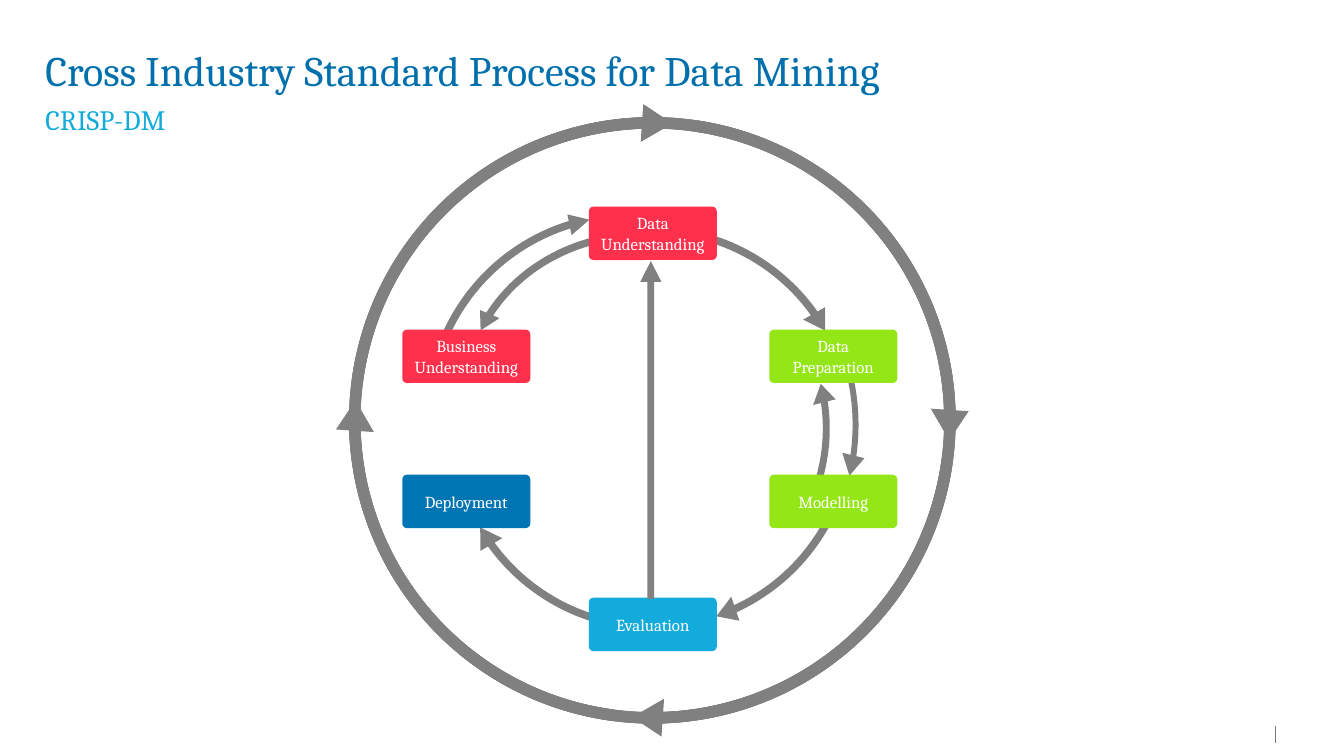
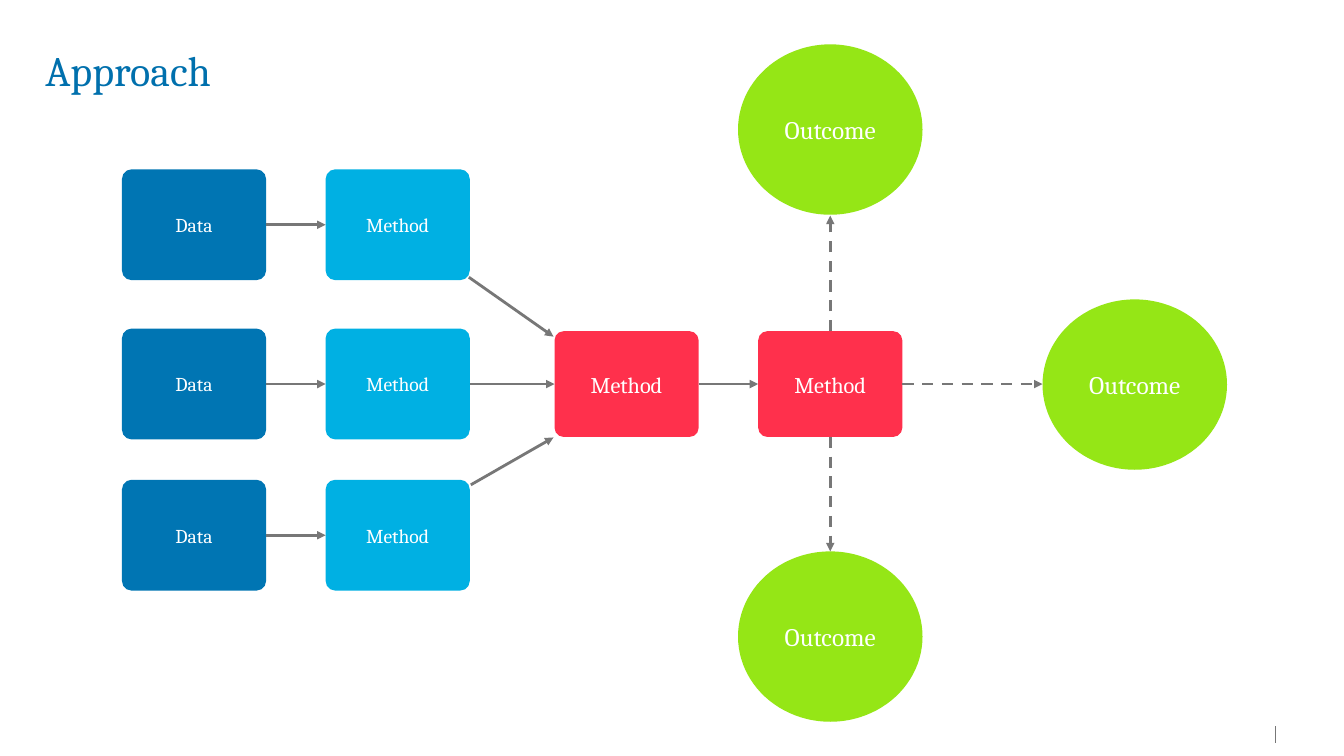
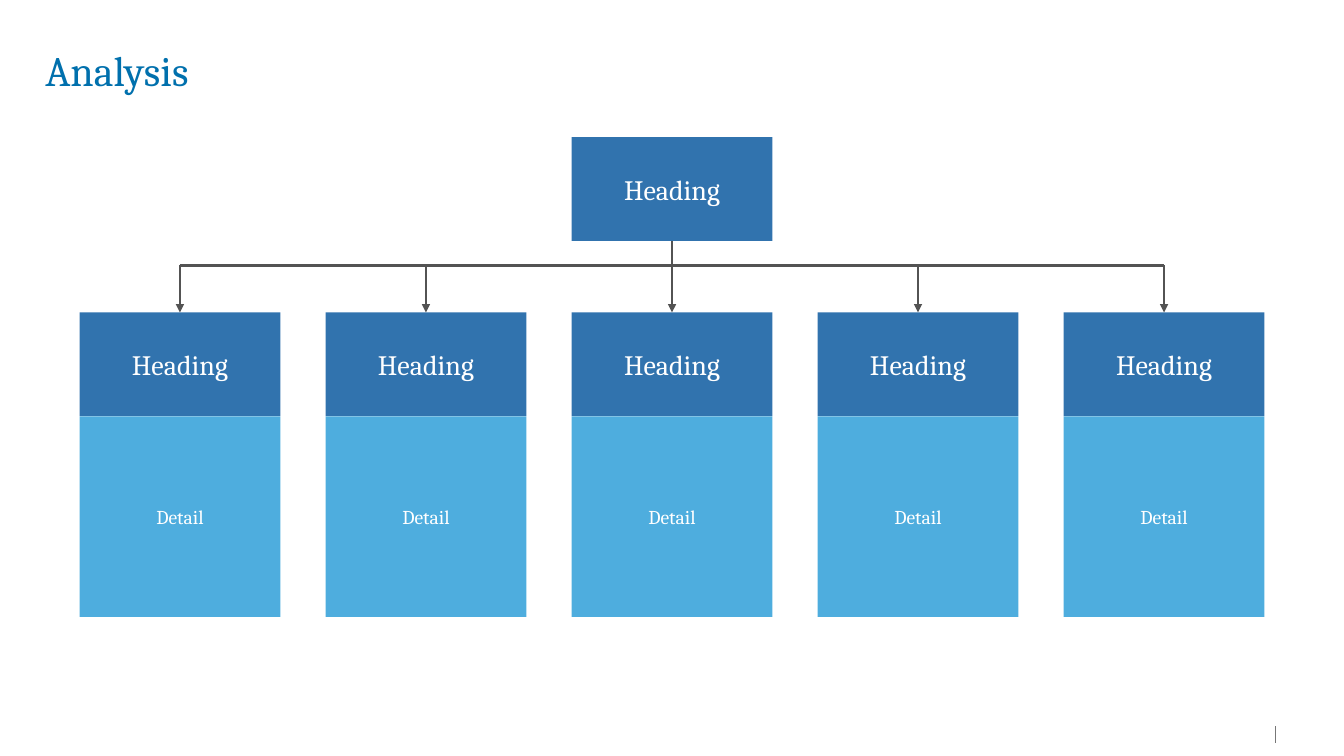
import pptx
import pptx.util
import pptx.dml.color
import pptx.enum.dml
import pptx.enum.shapes
import pptx.enum.text
import pptx.oxml.ns
import lxml.etree

Inches, Pt = pptx.util.Inches, pptx.util.Pt
RGBColor = pptx.dml.color.RGBColor
SHAPE = pptx.enum.shapes.MSO_SHAPE
qn = pptx.oxml.ns.qn

WHITE = RGBColor(0xFF, 0xFF, 0xFF)
TITLE_BLUE = RGBColor(0x00, 0x70, 0xAD)
CYAN = RGBColor(0x12, 0xAB, 0xDB)
BLUE = RGBColor(0x00, 0x75, 0xB3)
SKY = RGBColor(0x00, 0xB0, 0xE3)
RED = RGBColor(0xFF, 0x30, 0x4C)
GREEN = RGBColor(0x95, 0xE6, 0x16)
HEADING_BLUE = RGBColor(0x31, 0x73, 0xAE)
DETAIL_BLUE = RGBColor(0x4E, 0xAD, 0xDE)
ARROW_GREY = RGBColor(0x80, 0x80, 0x80)
LINE_GREY = RGBColor(0x77, 0x77, 0x77)
TREE_GREY = RGBColor(0x53, 0x53, 0x53)

FONT = "Cambria"
WIDTH, HEIGHT = 13.33, 7.5
MARGIN, TEXT_WIDTH = 0.45, 12.05
CORNER = 0.087
TOP, LEFT, BOTTOM, RIGHT = range(4)


def set_text(s, text, size, color, inset=0):
    tf = s.text_frame
    tf.word_wrap = True
    tf.margin_left = tf.margin_right = tf.margin_top = tf.margin_bottom = Inches(inset)
    tf.text = text
    p = tf.paragraphs[0]
    font = p.runs[0].font
    font.name, font.size, font.color.rgb = FONT, Pt(size), color
    return p


def add_text(slide, y, h, text, size, color):
    s = slide.shapes.add_textbox(*map(Inches, (MARGIN, y, TEXT_WIDTH, h)))
    set_text(s, text, size, color)


def add_filled(slide, kind, x, y, w, h, color, adjustments=()):
    s = slide.shapes.add_shape(kind, *map(Inches, (x, y, w, h)))
    s.shadow.inherit = False
    s.fill.solid()
    s.fill.fore_color.rgb = color
    s.line.fill.background()
    for i, value in enumerate(adjustments):
        s.adjustments[i] = value
    return s


def add_box(slide, kind, x, y, w, h, color, text, size):
    """Filled shape with a centred white label."""
    corner = (CORNER,) if kind == SHAPE.ROUNDED_RECTANGLE else ()
    s = add_filled(slide, kind, x, y, w, h, color, corner)
    p = set_text(s, text, size, WHITE, inset=0.05)
    p.alignment = pptx.enum.text.PP_ALIGN.CENTER
    s.text_frame.vertical_anchor = pptx.enum.text.MSO_ANCHOR.MIDDLE
    return s


def add_arc(slide, cx, cy, w, h, rotation, adjustments, flip=None):
    """Circular arrow around a centre; flip is flipH or flipV."""
    s = add_filled(slide, SHAPE.CIRCULAR_ARROW, cx - w / 2, cy - h / 2, w, h,
                   ARROW_GREY, adjustments)
    s.rotation = rotation
    if flip:
        s._element.spPr.find(qn("a:xfrm")).set(flip, "1")


def add_line(slide, start, end, color=LINE_GREY, width=2, arrow=True, dash=False):
    """Line whose ends are each an (x, y) point or a (shape, side) joint."""
    points = [(0, 0) if hasattr(e[0], "shape_id") else e for e in (start, end)]
    c = slide.shapes.add_connector(pptx.enum.shapes.MSO_CONNECTOR.STRAIGHT,
                                   *(Inches(v) for pt in points for v in pt))
    for e, join in ((start, c.begin_connect), (end, c.end_connect)):
        if hasattr(e[0], "shape_id"):
            join(*e)
    c.line.color.rgb = color
    c.line.width = Pt(width)
    if dash:
        c.line.dash_style = pptx.enum.dml.MSO_LINE.DASH
    if arrow:
        lxml.etree.SubElement(c.line._get_or_add_ln(), qn("a:tailEnd"), type="triangle")
    lxml.etree.SubElement(c._element.spPr, qn("a:effectLst"))


def add_slide(prs, title):
    slide = prs.slides.add_slide(prs.slide_layouts[6])
    add_line(slide, (12.65, 7.37), (12.65, 7.2), width=0.75, arrow=False)
    add_text(slide, 0.44, 0.57, title, 30, TITLE_BLUE)
    return slide


def build_process(prs):
    slide = add_slide(prs, "Cross Industry Standard Process for Data Mining")
    add_text(slide, 1.02, 0.4, "CRISP-DM", 20, CYAN)

    for quarter in range(4):
        add_arc(slide, 6.47, 4.17, 6.28, 6.28, 19.4 + 90 * quarter,
                (0.018, 3.53, 203.16, 208.97, 0.03))

    thick = (0.018, 3.53, 203.16)
    arcs = [
        (6.47, 4.25, 4.19, 4.19, 346, (*thick, 181.25, 0.03)),
        (6.47, 4.25, 4.19, 4.19, 165.6, (*thick, 180.18, 0.03)),
        (6.47, 4.25, 4.19, 4.19, 86.7, (*thick, 181.16, 0.03)),
        (6.33, 4.21, 4.54, 4.53, 29.7, (0.013, 3.25, 203.13, 191.45, 0.025)),
        (6.39, 4.25, 3.84, 3.84, 330.3, (*thick, 188.75, 0.03), "flipV"),
        (6.24, 4.13, 4.19, 4.19, 274.1, (*thick, 173.75, 0.025)),
        (6.43, 3.97, 3.84, 3.49, 7.2, (0.021, 3.53, 203.21, 177.95, 0.03), "flipH"),
    ]
    for arc in arcs:
        add_arc(slide, *arc)

    cols, rows = (3.99, 5.84, 7.63), (2.05, 3.27, 4.71, 5.93)
    steps = [
        (0, 1, RED, "Business Understanding"),
        (1, 0, RED, "Data Understanding"),
        (2, 1, GREEN, "Data Preparation"),
        (2, 2, GREEN, "Modelling"),
        (1, 3, CYAN, "Evaluation"),
        (0, 2, BLUE, "Deployment"),
    ]
    for col, row, color, text in steps:
        add_box(slide, SHAPE.ROUNDED_RECTANGLE, cols[col], rows[row], 1.27, 0.53,
                color, text, 12)
    add_filled(slide, SHAPE.UP_ARROW, 6.35, 2.59, 0.21, 3.35, ARROW_GREY, (0.321, 0.979))


def build_approach(prs):
    slide = add_slide(prs, "Approach")
    box_w, box_h, red_h = 1.43, 1.1, 1.05
    middle = 3.81

    methods = []
    for y in (1.68, 3.26, 4.76):
        data, method = (
            add_box(slide, SHAPE.ROUNDED_RECTANGLE, x, y, box_w, box_h, color, text, 14)
            for x, color, text in ((1.21, BLUE, "Data"), (3.23, SKY, "Method")))
        add_line(slide, (data, RIGHT), (method, LEFT))
        methods.append(method)

    merge, branch = (
        add_box(slide, SHAPE.ROUNDED_RECTANGLE, x, middle - red_h / 2, box_w, red_h,
                RED, "Method", 16)
        for x in (5.5, 7.52))
    add_line(slide, (4.65, 2.75), (5.49, 3.34))
    add_line(slide, (methods[1], RIGHT), (merge, LEFT))
    add_line(slide, (4.67, 4.81), (5.49, 4.34))
    add_line(slide, (merge, RIGHT), (branch, LEFT))

    branch_x = 7.52 + box_w / 2
    outcomes = [
        (7.32, 0.44, TOP, (branch_x, 2.14)),
        (10.34, 2.97, RIGHT, (10.34, middle)),
        (7.32, 5.47, BOTTOM, (branch_x, 5.47)),
    ]
    for x, y, side, tip in outcomes:
        add_box(slide, SHAPE.OVAL, x, y, 1.83, 1.69, GREEN, "Outcome", 18)
        add_line(slide, (branch, side), tip, dash=True)


def build_analysis(prs):
    slide = add_slide(prs, "Analysis")
    box_w, heading_h, detail_h = 1.99, 1.03, 1.99
    heading_y, bus_y = 3.1, 2.63
    cols = [0.79 + 2.44 * i for i in range(5)]
    centres = [x + box_w / 2 for x in cols]

    root = add_box(slide, SHAPE.RECTANGLE, cols[2], 1.36, box_w, heading_h,
                   HEADING_BLUE, "Heading", 20)
    add_line(slide, (centres[0], bus_y), (centres[-1], bus_y), TREE_GREY, arrow=False)
    for i, x in enumerate(cols):
        heading = add_box(slide, SHAPE.RECTANGLE, x, heading_y, box_w, heading_h,
                          HEADING_BLUE, "Heading", 20)
        add_box(slide, SHAPE.RECTANGLE, x, heading_y + heading_h, box_w, detail_h,
                DETAIL_BLUE, "Detail", 14)
        start = (root, BOTTOM) if i == 2 else (centres[i], bus_y)
        add_line(slide, start, (heading, TOP), TREE_GREY)


def main():
    prs = pptx.Presentation()
    prs.slide_width, prs.slide_height = Inches(WIDTH), Inches(HEIGHT)
    build_process(prs)
    build_approach(prs)
    build_analysis(prs)
    prs.save("out.pptx")


if __name__ == "__main__":
    main()
